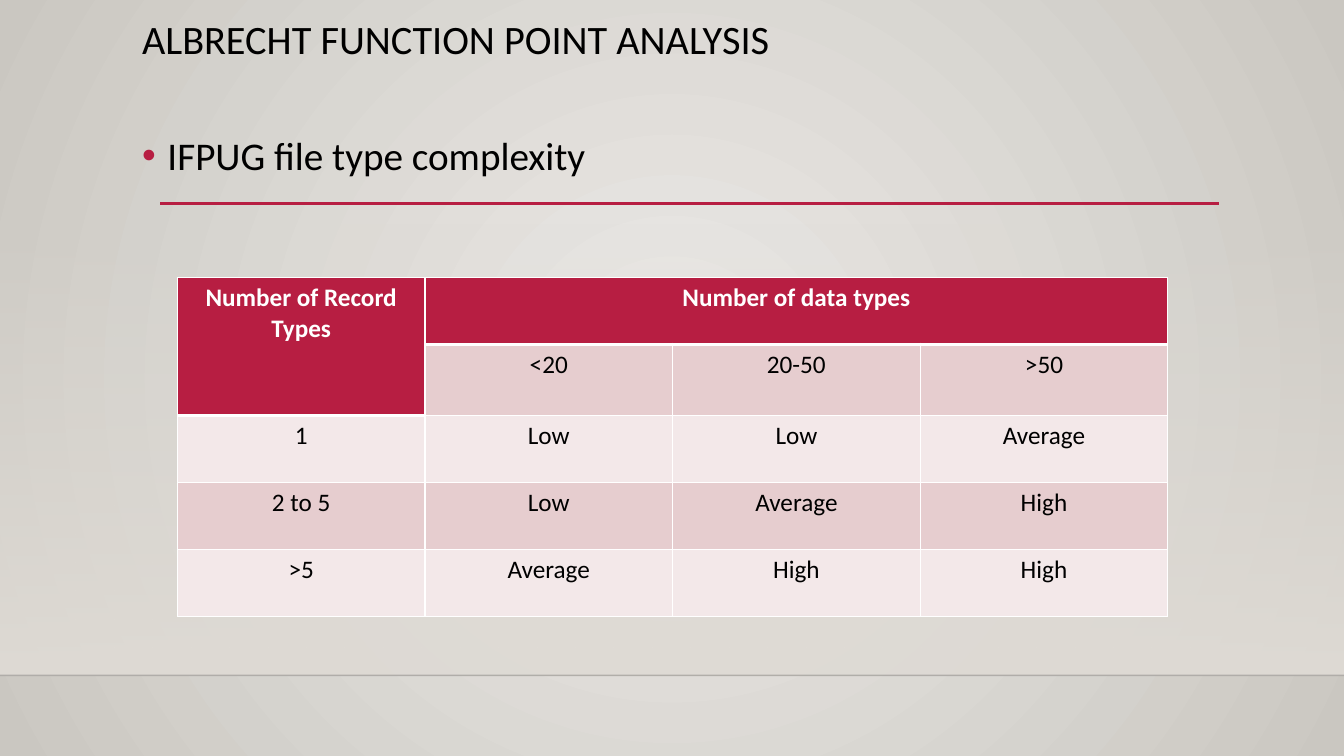
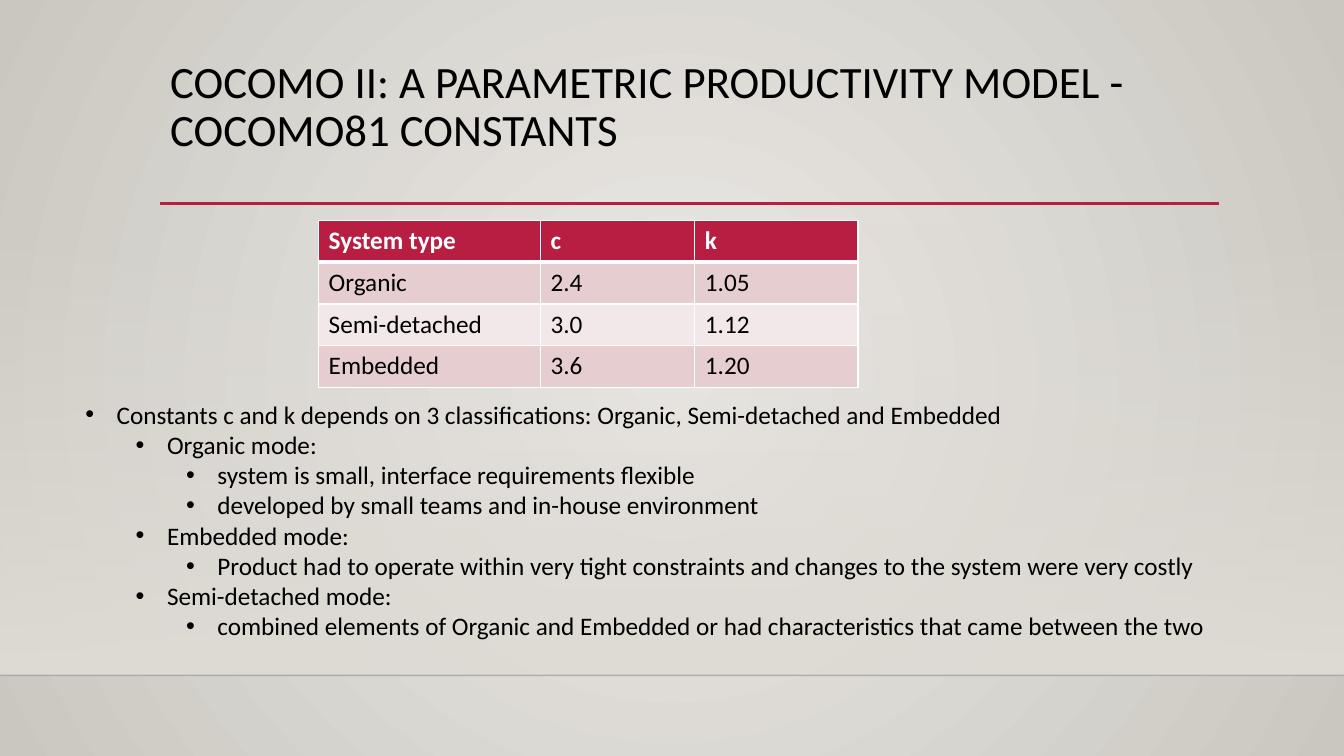
"""Build two slides on software effort estimation."""
from dataclasses import dataclass
from typing import Optional

from lxml import etree
from pptx import Presentation
from pptx.dml.color import RGBColor
from pptx.enum.shapes import MSO_CONNECTOR, MSO_SHAPE
from pptx.enum.text import MSO_ANCHOR, PP_ALIGN
from pptx.oxml import parse_xml
from pptx.oxml.ns import nsdecls, qn
from pptx.util import Cm, Pt

STRAIGHT = MSO_CONNECTOR.STRAIGHT
RECTANGLE = MSO_SHAPE.RECTANGLE
TOP = MSO_ANCHOR.TOP
LEFT = PP_ALIGN.LEFT
CENTER = PP_ALIGN.CENTER


@dataclass(frozen=True)
class Theme:
    font: str = "Calibri"
    ink: str = "000000"
    white: str = "FFFFFF"
    accent: str = "B71E42"
    row_dark: str = "E6CDCF"
    row_light: str = "F3E8E9"
    glow: str = "ECEAE7"
    edge: str = "CAC7C1"
    floor: str = "DFDBD5"
    floor_line: str = "000001"
    text_size: float = 18
    lead_size: float = 28
    cell_line: float = 1
    header_line: float = 3


THEME = Theme()
SLIDE_WIDTH = 33.87
SLIDE_HEIGHT = 19.05
FLOOR_TOP = 5.61
FLOOR_BOTTOM = 17.02
RULE_Y = 5.13


@dataclass(frozen=True)
class Box:
    left: float
    top: float
    width: float
    height: float

    def lengths(self) -> tuple:
        return Cm(self.left), Cm(self.top), Cm(self.width), Cm(self.height)


@dataclass(frozen=True)
class Line:
    text: str
    size: float = THEME.text_size
    spacing: float = 1.0
    level: int = 0
    bullet_indent: float = 0
    bullet_color: str = THEME.ink


@dataclass(frozen=True)
class Grid:
    left: float
    top: float
    columns: tuple
    row_heights: tuple
    rows: tuple
    merges: tuple = ()
    first_band: str = THEME.row_dark
    second_band: str = THEME.row_light
    alignment: PP_ALIGN = LEFT


@dataclass(frozen=True)
class Content:
    title: Line
    title_box: Box
    lines: tuple
    lines_box: Box
    grid: Optional[Grid] = None


LEVEL_STEP = 1.27


def outline(text: str, level: int = 0) -> Line:
    return Line(text, level=level, bullet_indent=0.79)


CONTENTS = (
    Content(
        Line("ALBRECHT FUNCTION POINT ANALYSIS", 28.8, 0.9),
        Box(3.33, 0.38, 26.67, 1.45),
        (Line("IFPUG file type complexity", THEME.lead_size, 1.2,
              bullet_indent=0.64, bullet_color=THEME.accent),),
        Box(3.33, 2.95, 26.67, 13.69),
        Grid(
            4.47, 6.99, (6.24,) * 4, (1.69, 1.79, 1.69, 1.69, 1.69),
            (
                ("Number of Record Types", "Number of data types", "", ""),
                ("", "<20", "20-50", ">50"),
                ("1", "Low", "Low", "Average"),
                ("2 to 5", "Low", "Average", "High"),
                (">5", "Average", "High", "High"),
            ),
            merges=(((0, 0), (1, 0)), ((0, 1), (0, 3))),
            alignment=CENTER,
        ),
    ),
    Content(
        Line("COCOMO II: A PARAMETRIC PRODUCTIVITY MODEL - COCOMO81 CONSTANTS", 32, 0.9),
        Box(4.04, 1.37, 26.67, 2.92),
        (
            outline("Constants c and k depends on 3 classifications: "
                    "Organic, Semi-detached and Embedded"),
            outline("Organic mode:", 1),
            outline("system is small, interface requirements flexible", 2),
            outline("developed by small teams and in-house environment", 2),
            outline("Embedded mode:", 1),
            outline("Product had to operate within very tight constraints "
                    "and changes to the system were very costly", 2),
            outline("Semi-detached mode:", 1),
            outline("combined elements of Organic and Embedded "
                    "or had characteristics that came between the two", 2),
        ),
        Box(1.9, 9.93, 30.02, 7.95),
        Grid(
            8.03, 5.56, (5.59, 3.89, 4.11), (1.05,) * 4,
            (
                ("System type", "c", "k"),
                ("Organic", "2.4", "1.05"),
                ("Semi-detached", "3.0", "1.12"),
                ("Embedded", "3.6", "1.20"),
            ),
        ),
    ),
)


def replace_solid_fill(properties, stops: tuple, direction: str) -> None:
    stop_xml = "".join(
        f'<a:gs pos="{position}"><a:srgbClr val="{color}">'
        f'<a:alpha val="{alpha}"/></a:srgbClr></a:gs>'
        for position, color, alpha in stops
    )
    gradient = parse_xml(
        f'<a:gradFill {nsdecls("a")} rotWithShape="1">'
        f"<a:gsLst>{stop_xml}</a:gsLst>{direction}</a:gradFill>"
    )
    properties.replace(properties.find(qn("a:solidFill")), gradient)


def add_rule(slide, start: float, end: float, y: float, color: str, width: float):
    connector = slide.shapes.add_connector(STRAIGHT, Cm(start), Cm(y), Cm(end), Cm(y))
    connector.line.color.rgb = RGBColor.from_string(color)
    connector.line.width = Pt(width)
    etree.SubElement(connector.element.spPr, qn("a:effectLst"))
    return connector


def add_backdrop(slide) -> None:
    slide.background.fill.solid()
    replace_solid_fill(
        slide.element.find(".//" + qn("p:bgPr")),
        ((0, THEME.glow, 100000), (100000, THEME.edge, 100000)),
        '<a:path path="circle">'
        '<a:fillToRect l="50000" t="50000" r="50000" b="50000"/></a:path>',
    )
    floor = slide.shapes.add_shape(
        RECTANGLE, *Box(0, FLOOR_TOP, SLIDE_WIDTH, FLOOR_BOTTOM - FLOOR_TOP).lengths()
    )
    floor.shadow.inherit = False
    floor.line.fill.background()
    floor.fill.solid()
    replace_solid_fill(
        floor.element.spPr,
        ((0, THEME.floor, 0), (100000, THEME.floor, 100000)),
        '<a:lin ang="5400000" scaled="0"/>',
    )
    floor_line = add_rule(slide, 0, SLIDE_WIDTH, FLOOR_BOTTOM, THEME.floor_line, 1)
    color = floor_line.element.spPr.find(".//" + qn("a:srgbClr"))
    etree.SubElement(color, qn("a:alpha"), val="20000")
    add_rule(slide, 4.04, 30.73, RULE_Y, THEME.accent, 2.5)


def format_runs(paragraph, size: float, color: str, bold: bool = False) -> None:
    for run in paragraph.runs:
        run.font.name = THEME.font
        run.font.size = Pt(size)
        run.font.bold = bold
        run.font.color.rgb = RGBColor.from_string(color)


def add_bullet(paragraph, line: Line) -> None:
    properties = paragraph._p.get_or_add_pPr()
    margin = line.bullet_indent + line.level * LEVEL_STEP
    properties.set("marL", str(Cm(margin)))
    properties.set("indent", str(-Cm(line.bullet_indent)))
    bullet_color = etree.SubElement(properties, qn("a:buClr"))
    etree.SubElement(bullet_color, qn("a:srgbClr"), val=line.bullet_color)
    etree.SubElement(properties, qn("a:buFont"), typeface="Arial")
    etree.SubElement(properties, qn("a:buChar"), char="•")


def add_text(slide, box: Box, lines: tuple) -> None:
    text_frame = slide.shapes.add_textbox(*box.lengths()).text_frame
    text_frame.word_wrap = True
    text_frame.vertical_anchor = TOP
    text_frame.text = "\n".join(line.text for line in lines)
    for paragraph, line in zip(text_frame.paragraphs, lines):
        if line.bullet_indent:
            add_bullet(paragraph, line)
        paragraph.level = line.level
        paragraph.line_spacing = line.spacing
        format_runs(paragraph, line.size, THEME.ink)


def add_borders(cell, is_top: bool, is_header: bool) -> None:
    widths = {"lnL": THEME.cell_line, "lnR": THEME.cell_line}
    if is_top:
        widths["lnT"] = THEME.cell_line
    widths["lnB"] = THEME.header_line if is_header else THEME.cell_line
    properties = cell._tc.get_or_add_tcPr()
    for tag, width in widths.items():
        border = etree.SubElement(properties, qn(f"a:{tag}"), w=str(Pt(width)))
        fill = etree.SubElement(border, qn("a:solidFill"))
        etree.SubElement(fill, qn("a:srgbClr"), val=THEME.white)


def add_grid(slide, grid: Grid) -> None:
    box = Box(grid.left, grid.top, sum(grid.columns), sum(grid.row_heights))
    table = slide.shapes.add_table(
        len(grid.rows), len(grid.columns), *box.lengths()
    ).table
    table.horz_banding = False
    for column, width in zip(table.columns, grid.columns):
        column.width = Cm(width)
    for row, height in zip(table.rows, grid.row_heights):
        row.height = Cm(height)
    for first, last in grid.merges:
        table.cell(*first).merge(table.cell(*last))
    for row_index, texts in enumerate(grid.rows):
        band = grid.first_band if row_index % 2 else grid.second_band
        for column_index, text in enumerate(texts):
            cell = table.cell(row_index, column_index)
            is_header = row_index == 0 or cell.is_spanned
            add_borders(cell, row_index == 0, is_header)
            cell.fill.solid()
            cell.fill.fore_color.rgb = RGBColor.from_string(
                THEME.accent if is_header else band
            )
            cell.text_frame.text = text
            paragraph = cell.text_frame.paragraphs[0]
            paragraph.alignment = grid.alignment
            format_runs(paragraph, THEME.text_size,
                        THEME.white if is_header else THEME.ink, is_header)


def main() -> None:
    presentation = Presentation()
    presentation.slide_width = Cm(SLIDE_WIDTH)
    presentation.slide_height = Cm(SLIDE_HEIGHT)
    for content in CONTENTS:
        slide = presentation.slides.add_slide(presentation.slide_layouts[6])
        add_backdrop(slide)
        add_text(slide, content.title_box, (content.title,))
        add_text(slide, content.lines_box, content.lines)
        if content.grid:
            add_grid(slide, content.grid)
    presentation.save("out.pptx")


if __name__ == "__main__":
    main()
